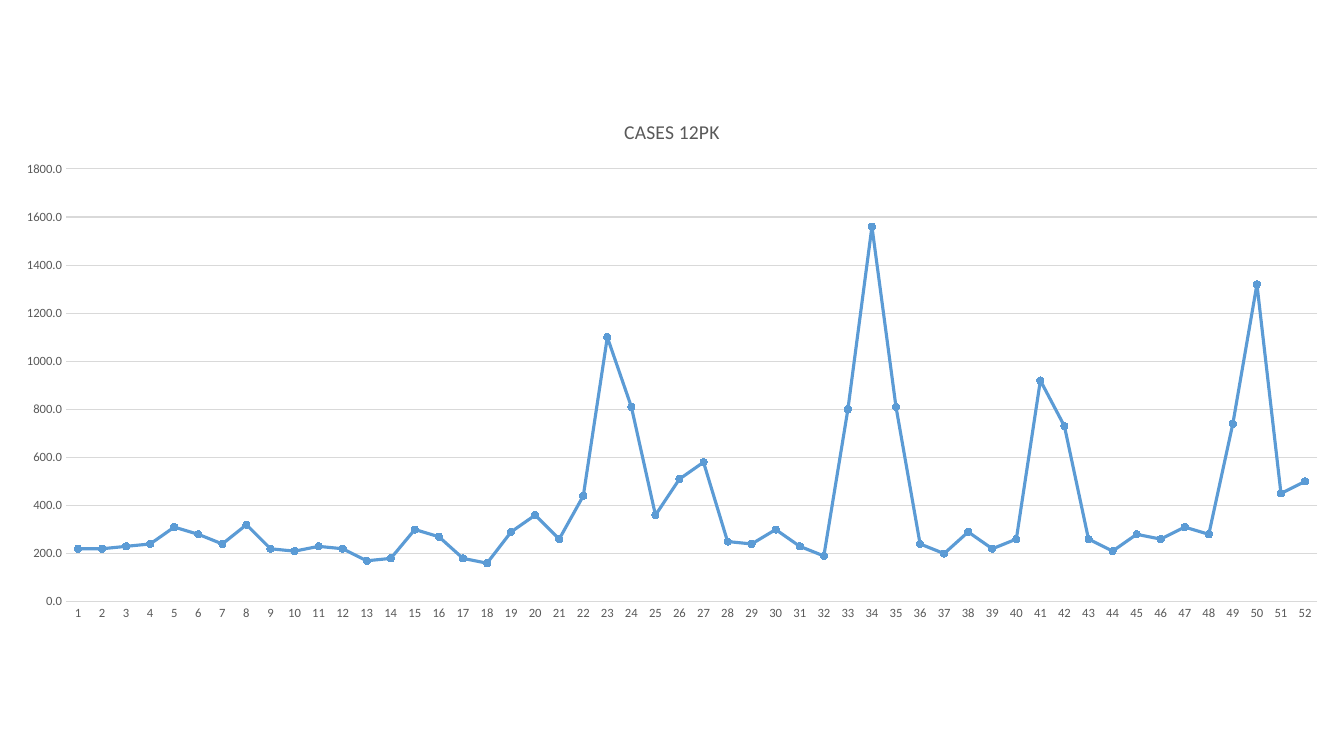
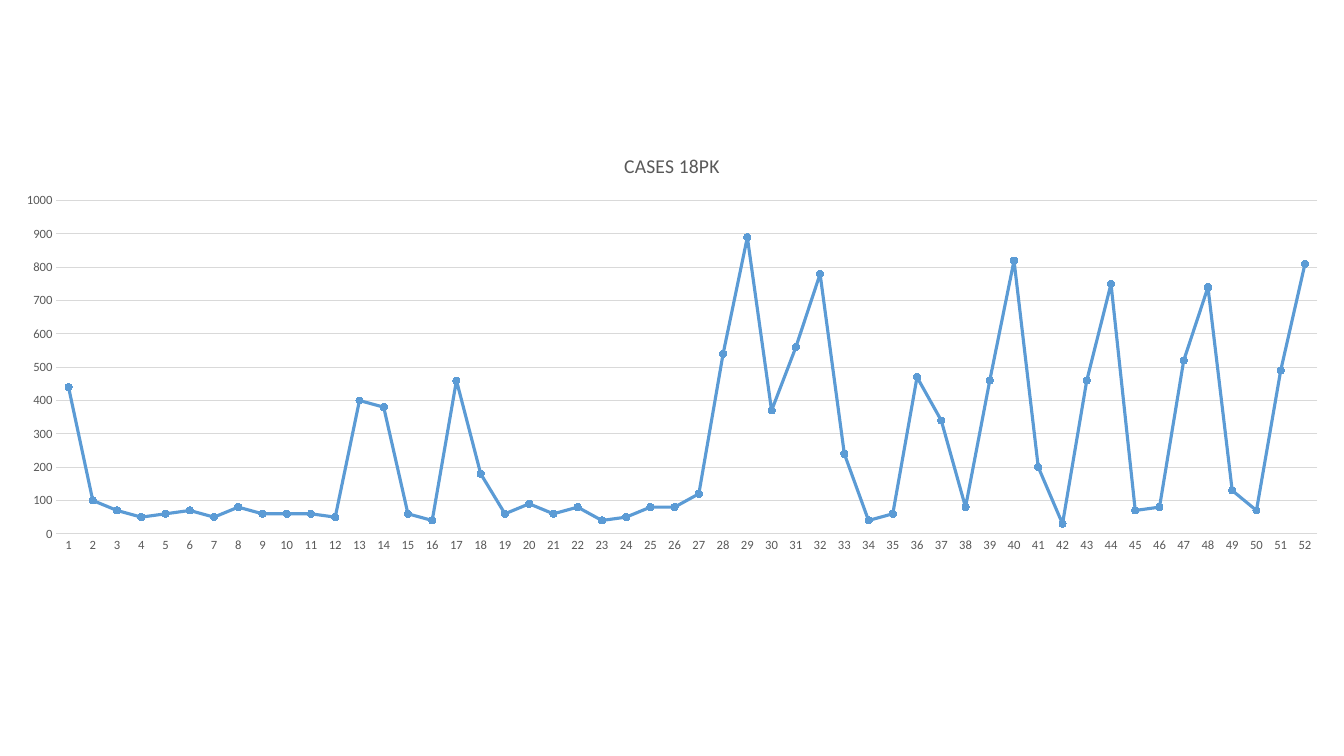
from pptx import Presentation
from pptx.chart.data import CategoryChartData
from pptx.dml.color import RGBColor
from pptx.enum.chart import XL_CHART_TYPE as ChartType, XL_MARKER_STYLE as Marker, XL_TICK_MARK as Tick
from pptx.util import Emu, Pt

EMU_PER_PX = 914400 / 100.8
SLIDE_WIDTH, SLIDE_HEIGHT = 1344, 756
FONT = "Calibri"
BLUE, GREY, PALE = "5B9BD5", "595959", "D9D9D9"
WEEKS = [str(week) for week in range(1, 53)]

CASES_12PK = [
    220, 220, 230, 240, 310, 280, 240, 320, 220, 210, 230, 220, 170,
    180, 300, 270, 180, 160, 290, 360, 260, 440, 1100, 810, 360, 510,
    580, 250, 240, 300, 230, 190, 800, 1560, 810, 240, 200, 290, 220,
    260, 920, 730, 260, 210, 280, 260, 310, 280, 740, 1320, 450, 500,
]
CASES_18PK = [
    440, 100, 70, 50, 60, 70, 50, 80, 60, 60, 60, 50, 400,
    380, 60, 40, 460, 180, 60, 90, 60, 80, 40, 50, 80, 80,
    120, 540, 890, 370, 560, 780, 240, 40, 60, 470, 340, 80, 460,
    820, 200, 30, 460, 750, 70, 80, 520, 740, 130, 70, 490, 810,
]


def px(length):
    """Turn pixels into EMU."""
    return Emu(round(length * EMU_PER_PX))


def color(hex_code):
    """Turn a hex string into a colour."""
    return RGBColor.from_string(hex_code)


def set_font(font, size, hex_code):
    """Apply the shared typeface with a size and colour."""
    font.name, font.size, font.bold = FONT, Pt(size), False
    font.color.rgb = color(hex_code)


def set_line(line, width, hex_code):
    """Give a line its width and colour."""
    line.width = Pt(width)
    line.color.rgb = color(hex_code)


def style_title(chart, text):
    """Write the chart title."""
    frame = chart.chart_title.text_frame
    frame.text = text
    set_font(frame.paragraphs[0].font, 14, GREY)
    chart.chart_title.include_in_layout = False


def style_axes(chart, top_value, step, number_format):
    """Style the week axis and the case axis with its gridlines."""
    weeks, cases = chart.category_axis, chart.value_axis
    for axis in (weeks, cases):
        axis.major_tick_mark = axis.minor_tick_mark = Tick.NONE
        set_font(axis.tick_labels.font, 9, GREY)
    set_line(weeks.format.line, 0.75, PALE)
    cases.format.line.fill.background()
    cases.minimum_scale, cases.maximum_scale = 0, top_value
    cases.major_unit = step
    cases.has_major_gridlines = True
    set_line(cases.major_gridlines.format.line, 0.75, PALE)
    cases.tick_labels.number_format = number_format
    cases.tick_labels.number_format_is_linked = False


def style_series(series):
    """Draw the series as a straight line with round markers."""
    series.smooth = False
    set_line(series.format.line, 2.25, BLUE)
    marker = series.marker
    marker.style, marker.size = Marker.CIRCLE, 5
    marker.format.fill.solid()
    marker.format.fill.fore_color.rgb = color(BLUE)
    set_line(marker.format.line, 0.75, BLUE)


def add_cases_slide(deck, title, cases, box, top_value, step, number_format):
    """Add a slide with one weekly case chart in the given box."""
    slide = deck.slides.add_slide(deck.slide_layouts[6])
    data = CategoryChartData()
    data.categories = WEEKS
    data.add_series(title, cases)
    frame = slide.shapes.add_chart(ChartType.LINE_MARKERS, *map(px, box), data)
    chart = frame.chart
    set_font(chart.font, 10, "000000")
    chart.has_legend = False
    chart.plots[0].vary_by_categories = False
    style_title(chart, title)
    style_axes(chart, top_value, step, number_format)
    style_series(chart.plots[0].series[0])


def main():
    """Build and save the deck."""
    deck = Presentation()
    deck.slide_width, deck.slide_height = px(SLIDE_WIDTH), px(SLIDE_HEIGHT)
    add_cases_slide(deck, "CASES 12PK", CASES_12PK, (0, 99, SLIDE_WIDTH, 532), 1800, 200, "0.0")
    add_cases_slide(deck, "CASES 18PK", CASES_18PK, (0, 135, SLIDE_WIDTH, 426), 1000, 100, "General")
    deck.save("out.pptx")


if __name__ == "__main__":
    main()
